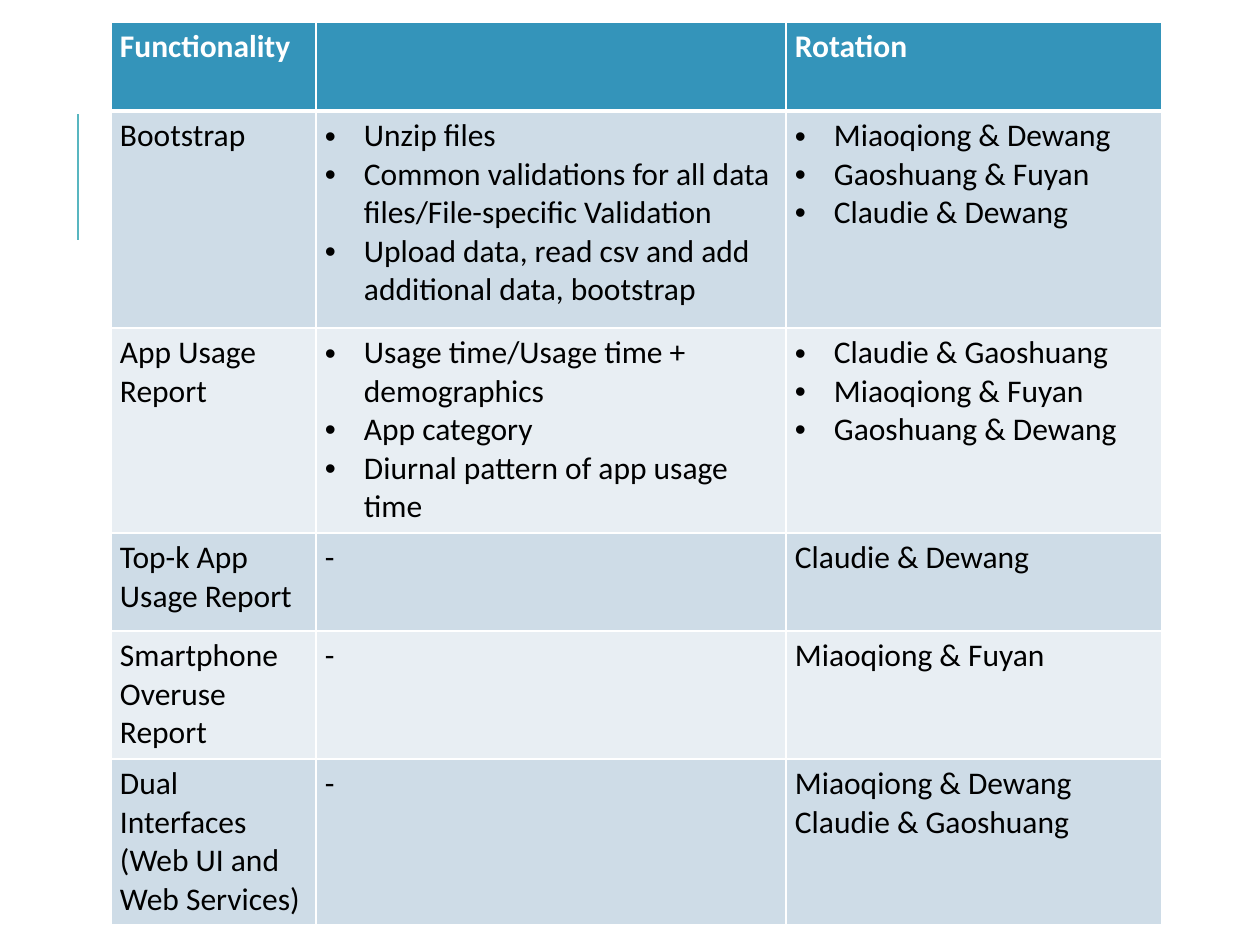
from pptx import Presentation
from pptx.dml.color import RGBColor
from pptx.enum.shapes import MSO_CONNECTOR
from pptx.oxml.ns import qn
from pptx.util import Pt
from lxml.etree import SubElement

PIXEL = 914400 // 126
WHITE = RGBColor(0xFF, 0xFF, 0xFF)
BLACK = RGBColor(0x00, 0x00, 0x00)
TEAL = RGBColor(0x58, 0xB6, 0xC0)
HEADER_BLUE = RGBColor(0x34, 0x94, 0xBA)
BAND_DARK = RGBColor(0xCE, 0xDC, 0xE7)
BAND_LIGHT = RGBColor(0xE8, 0xEE, 0xF3)

FONT = "Calibri"
BULLET_INDENT = 39
COLUMN_WIDTHS = [205, 470, 376]
ROW_HEIGHTS = [89, 217, 205, 98, 128, 166]
# Each cell is a list of paragraphs; several tasks in a row make bulleted lists.
ROWS = [
    (["Functionality"], [], ["Rotation"]),
    (["Bootstrap"],
     ["Unzip files",
      "Common validations for all data files/File-specific Validation",
      "Upload data, read csv and add additional data, bootstrap"],
     ["Miaoqiong & Dewang", "Gaoshuang & Fuyan", "Claudie & Dewang"]),
    (["App Usage Report"],
     ["Usage time/Usage time + demographics",
      "App category",
      "Diurnal pattern of app usage time"],
     ["Claudie & Gaoshuang", "Miaoqiong & Fuyan", "Gaoshuang & Dewang"]),
    (["Top-k App Usage Report"], ["-"], ["Claudie & Dewang"]),
    (["Smartphone Overuse Report"], ["-"], ["Miaoqiong & Fuyan"]),
    (["Dual Interfaces (Web UI and Web Services)"], ["-"],
     ["Miaoqiong & Dewang", "Claudie & Gaoshuang"]),
]


def px(value):
    """Turn whole pixels into EMU."""
    return value * PIXEL


def add_bullet(paragraph):
    """Give a paragraph a round bullet with a hanging indent."""
    properties = paragraph._p.get_or_add_pPr()
    properties.set("marL", str(px(BULLET_INDENT)))
    properties.set("indent", str(-px(BULLET_INDENT)))
    SubElement(properties, qn("a:buFont")).set("typeface", "Arial")
    SubElement(properties, qn("a:buChar")).set("char", "•")


def write_text(text_frame, lines, size=18, color=BLACK, bold=False, bullets=False):
    """Write one paragraph for each line in the given format."""
    for index, line in enumerate(lines):
        paragraph = text_frame.add_paragraph() if index else text_frame.paragraphs[0]
        if bullets:
            add_bullet(paragraph)
        run = paragraph.add_run()
        run.text = line
        run.font.name = FONT
        run.font.size = Pt(size)
        run.font.bold = bold
        run.font.color.rgb = color


def set_borders(cell, color=WHITE, bottom_width=1):
    """Draw the four borders of a cell; only the bottom width varies."""
    properties = cell._tc.get_or_add_tcPr()
    widths = {"a:lnL": 1, "a:lnR": 1, "a:lnT": 1, "a:lnB": bottom_width}
    for index, (tag, width) in enumerate(widths.items()):
        border = SubElement(properties, qn(tag))
        border.set("w", str(Pt(width)))
        fill = SubElement(border, qn("a:solidFill"))
        SubElement(fill, qn("a:srgbClr")).set("val", str(color))
        properties.insert(index, border)


def format_cell(cell, fill, bottom_width):
    """Set the margins, fill and borders of a cell."""
    cell.margin_left = cell.margin_right = px(9)
    cell.margin_top = cell.margin_bottom = px(6)
    cell.fill.solid()
    cell.fill.fore_color.rgb = fill
    set_borders(cell, bottom_width=bottom_width)


def add_rotation_table(slide, left, top):
    """Place the table of functions, tasks and rotating pairs."""
    table = slide.shapes.add_table(
        len(ROWS), len(COLUMN_WIDTHS), px(left), px(top),
        px(sum(COLUMN_WIDTHS)), px(sum(ROW_HEIGHTS))).table
    for column, width in zip(table.columns, COLUMN_WIDTHS):
        column.width = px(width)
    for row_index, (row, height, contents) in enumerate(
            zip(table.rows, ROW_HEIGHTS, ROWS)):
        row.height = px(height)
        is_header = row_index == 0
        band = BAND_DARK if row_index % 2 else BAND_LIGHT
        has_list = len(contents[1]) > 1
        for column_index, (cell, lines) in enumerate(zip(row.cells, contents)):
            format_cell(cell, HEADER_BLUE if is_header else band,
                        3 if is_header else 1)
            write_text(cell.text_frame, lines, bold=is_header,
                       color=WHITE if is_header else BLACK,
                       bullets=has_list and column_index > 0)


def add_accent_line(slide, left, top, height):
    """Place the upright accent line beside the table."""
    line = slide.shapes.add_connector(
        MSO_CONNECTOR.STRAIGHT, px(left), px(top + height), px(left), px(top))
    line.line.color.rgb = TEAL
    line.line.width = Pt(1.5)
    SubElement(line._element.spPr, qn("a:effectLst"))


def build_rotation_slide(presentation):
    """Add the slide with its accent line and table."""
    slide = presentation.slides.add_slide(presentation.slide_layouts[6])
    slide.background.fill.solid()
    slide.background.fill.fore_color.rgb = WHITE
    add_accent_line(slide, left=78, top=114, height=126)
    add_rotation_table(slide, left=111, top=22)


presentation = Presentation()
presentation.slide_width = px(1260)
presentation.slide_height = px(945)
build_rotation_slide(presentation)
presentation.save("out.pptx")
